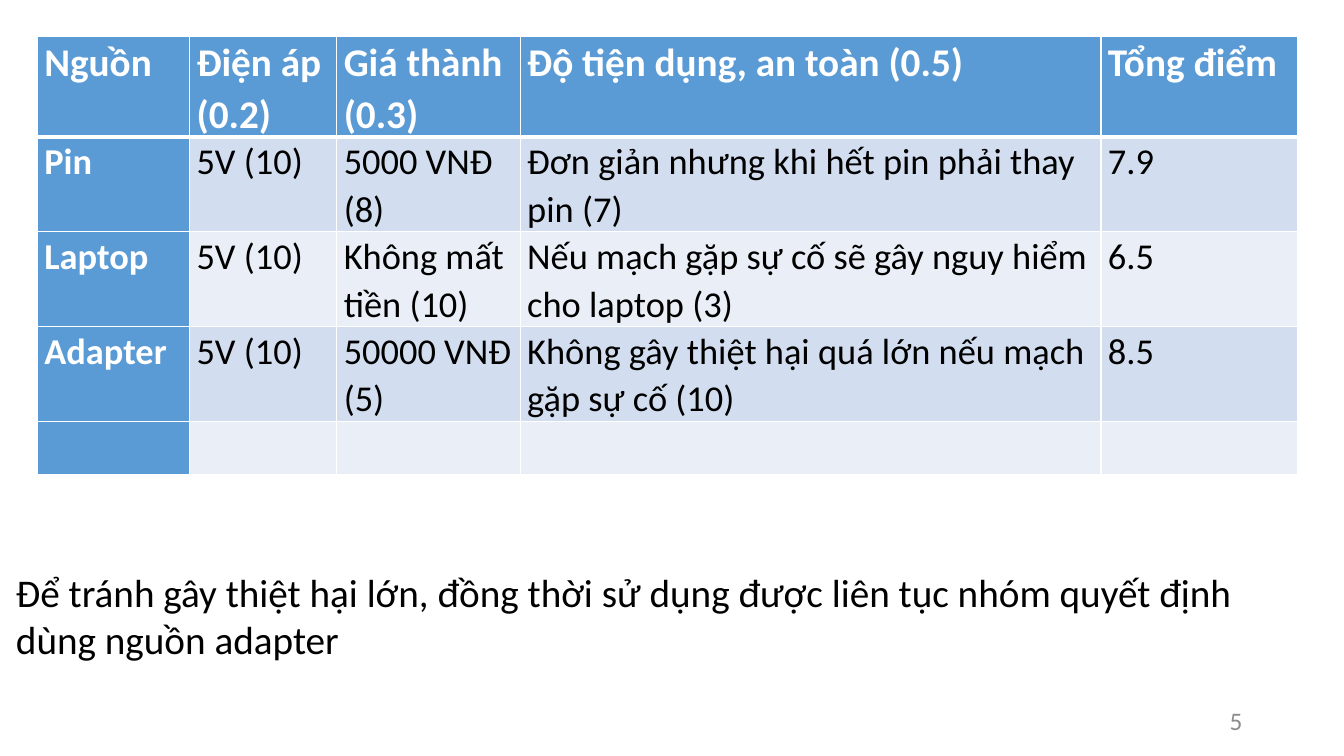
"""Build the slide that compares power sources and states the choice."""
from dataclasses import dataclass

from lxml.etree import SubElement
from pptx import Presentation
from pptx.dml.color import RGBColor
from pptx.enum.text import MSO_ANCHOR, PP_ALIGN
from pptx.oxml.ns import qn
from pptx.util import Inches, Pt


@dataclass(frozen=True)
class Theme:
    font: str = "Calibri"
    white: str = "FFFFFF"
    black: str = "000000"
    grey: str = "8C8C8C"
    blue: str = "5B9BD5"
    bands: tuple = ("EAEFF7", "D2DEEF")
    large: int = 28
    cell: int = 26
    number: int = 18


THEME = Theme()


def add_run(p, text, size, color, bold=False):
    r = p.add_run()
    r.text = text
    r.font.name = THEME.font
    r.font.size = Pt(size)
    r.font.bold = bold
    r.font.color.rgb = RGBColor.from_string(color)


def set_borders(cell, widths):
    tcPr = cell._tc.get_or_add_tcPr()
    for i, (side, width) in enumerate(widths.items()):
        ln = SubElement(tcPr, qn(f"a:ln{side}"), w=str(Pt(width)))
        fill = SubElement(ln, qn("a:solidFill"))
        SubElement(fill, qn("a:srgbClr"), val=THEME.white)
        tcPr.insert(i, ln)


prs = Presentation()
prs.slide_width = Inches(13.33)
prs.slide_height = Inches(7.5)
s = prs.slides.add_slide(prs.slide_layouts[6])

number = s.shapes.add_textbox(Inches(9.42), Inches(6.95), Inches(3), Inches(0.4))
tf = number.text_frame
tf.word_wrap = True
tf.vertical_anchor = MSO_ANCHOR.MIDDLE
p = tf.paragraphs[0]
p.alignment = PP_ALIGN.RIGHT
add_run(p, "5", THEME.number, THEME.grey)

rows = [
    ["Nguồn", "Điện áp (0.2)", "Giá thành (0.3)", "Độ tiện dụng, an toàn (0.5)", "Tổng điểm"],
    ["Pin", "5V (10)", "5000 VNĐ (8)", "Đơn giản nhưng khi hết pin phải thay pin (7)", "7.9"],
    ["Laptop", "5V (10)", "Không mất tiền (10)", "Nếu mạch gặp sự cố sẽ gây nguy hiểm cho laptop (3)", "6.5"],
    ["Adapter", "5V (10)", "50000 VNĐ (5)", "Không gây thiệt hại quá lớn nếu mạch gặp sự cố (10)", "8.5"],
    [""] * 5,
]
col_widths = [1.51, 1.46, 1.82, 5.76, 1.95]
row_heights = [0.99, 0.94, 0.94, 0.94, 0.53]

table = s.shapes.add_table(
    len(rows), len(col_widths), Inches(0.37), Inches(0.36),
    Inches(sum(col_widths)), Inches(sum(row_heights)),
).table
table.first_col = True
for col, width in zip(table.columns, col_widths):
    col.width = Inches(width)

for i, (texts, height) in enumerate(zip(rows, row_heights)):
    table.rows[i].height = Inches(height)
    for j, text in enumerate(texts):
        cell = table.cell(i, j)
        heading = i == 0 or j == 0
        cell.margin_left = cell.margin_right = Inches(0.07)
        cell.margin_top = cell.margin_bottom = 0
        cell.fill.solid()
        cell.fill.fore_color.rgb = RGBColor.from_string(
            THEME.blue if heading else THEME.bands[i % 2])
        set_borders(cell, {"L": 1, "R": 1, "T": 3 if i == 1 else 1, "B": 3 if i == 0 else 1})
        if text:
            p = cell.text_frame.paragraphs[0]
            p.line_spacing = 1.07
            add_run(p, text, THEME.large if i == 0 else THEME.cell,
                    THEME.white if heading else THEME.black, heading)

conclusion = s.shapes.add_textbox(Inches(0.06), Inches(5.59), Inches(12.52), Inches(1.04))
tf = conclusion.text_frame
tf.word_wrap = True
add_run(
    tf.paragraphs[0],
    "Để tránh gây thiệt hại lớn, đồng thời sử dụng được liên tục nhóm quyết định dùng nguồn adapter",
    THEME.large, THEME.black,
)

prs.save("out.pptx")
